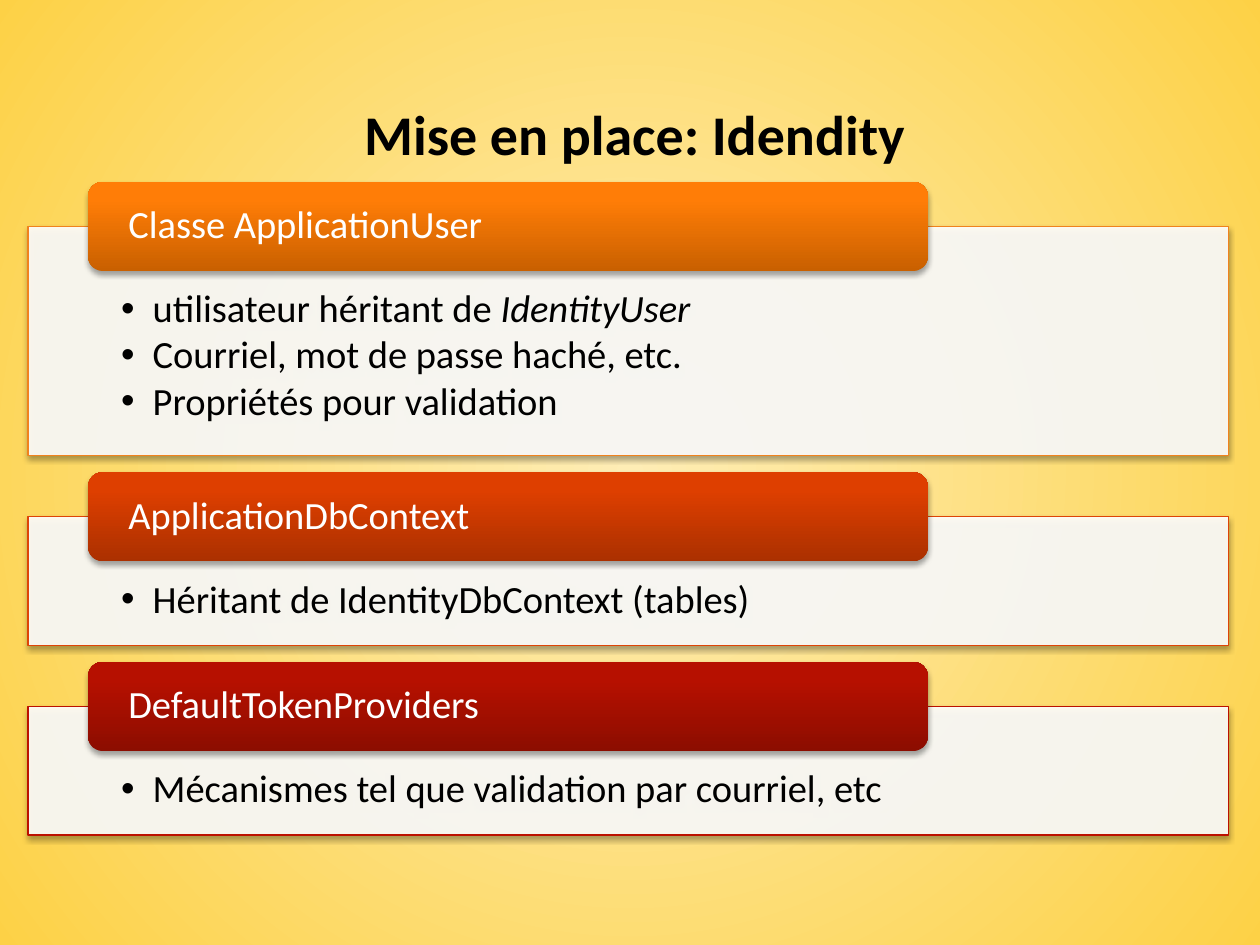
from lxml.etree import SubElement
from pptx import Presentation
from pptx.dml.color import RGBColor
from pptx.enum.shapes import MSO_SHAPE
from pptx.enum.text import MSO_ANCHOR, PP_ALIGN
from pptx.oxml.ns import qn
from pptx.util import Pt

BLACK = RGBColor(0, 0, 0)
WHITE = RGBColor(255, 255, 255)
CREAM = RGBColor(0xFE, 0xED, 0xB5)
GOLD = RGBColor(0xFD, 0xD1, 0x46)
ORANGE = [RGBColor.from_string(c) for c in ("F0821E", "C96000", "FF7D07", "FF7E08")]
RUST = [RGBColor.from_string(c) for c in ("DE4407", "AB3000", "DE3F00", "DF3F00")]
RED = [RGBColor.from_string(c) for c in ("BC1100", "8C0D00", "B61000", "B71100")]
BODY = {"name": "Calibri", "size": Pt(22), "bold": False, "color": BLACK}
HEAD = {**BODY, "color": WHITE}
TITLE = {**BODY, "size": Pt(32), "bold": True}
LEFT, TOP, WIDTH, GAP, TAB = 16, 129.4, 686, 34.9, 51
CARDS = [
    (ORANGE, 131, "Classe ApplicationUser",
     [("utilisateur héritant de ", "IdentityUser"),
      ("Courriel, mot de passe haché, etc.",), ("Propriétés pour validation",)]),
    (RUST, 73.5, "ApplicationDbContext", [("Héritant de IdentityDbContext (tables)",)]),
    (RED, 73.5, "DefaultTokenProviders",
     [("Mécanismes tel que validation par courriel, etc",)]),
]


def assign(item, look):
    """Set each attribute of an item from a dict."""
    for key, value in look.items():
        if key == "color":
            item.color.rgb = value
        else:
            setattr(item, key, value)


def node(parent, tag, **attrs):
    """Append a child element with the given attributes."""
    return SubElement(parent, qn(tag), {k: str(v) for k, v in attrs.items()})


def blend(props, stops):
    """Swap the solid fill for gradient stops and return the gradient."""
    solid = props.find(qn("a:solidFill"))
    grad = node(props, "a:gradFill", rotWithShape=1)
    props.replace(solid, grad)
    group = node(grad, "a:gsLst")
    for pos, color in stops:
        node(node(group, "a:gs", pos=pos * 1000), "a:srgbClr", val=color)
    return grad


def paint(slide):
    """Fill the background with a radial gradient."""
    slide.background.fill.solid()
    props = slide.element.find(".//" + qn("p:bgPr"))
    grad = blend(props, [(0, CREAM), (100, GOLD)])
    edge = dict.fromkeys("ltrb", 50000)
    node(node(grad, "a:path", path="circle"), "a:fillToRect", **edge)


def add_box(slide, kind, area, color, frame):
    """Add a filled shape with a soft shadow and a text frame format."""
    box = slide.shapes.add_shape(kind, *map(Pt, area))
    box.fill.solid()
    box.fill.fore_color.rgb = color
    box.line.fill.background()
    box.shadow.inherit = False
    effects = box.element.spPr.find(qn("a:effectLst"))
    cast = node(effects, "a:outerShdw", blurRad=Pt(3.1), dist=Pt(1.8),
                dir=5400000, rotWithShape=0)
    node(node(cast, "a:srgbClr", val=BLACK), "a:alpha", val=35000)
    assign(box.text_frame, {"word_wrap": True, **frame})
    return box


def add_panel(slide, top, height, color, items):
    """Add a bordered panel with its bullet list."""
    frame = {"vertical_anchor": MSO_ANCHOR.TOP, "margin_left": Pt(53.3),
             "margin_right": Pt(53.3), "margin_top": Pt(36), "margin_bottom": Pt(12)}
    box = add_box(slide, MSO_SHAPE.RECTANGLE, (LEFT, top, WIDTH, height), WHITE, frame)
    tint = box.element.spPr.find(qn("a:solidFill"))[0]
    node(tint, "a:alpha", val=90000)
    assign(box.line, {"color": color, "width": Pt(0.75)})
    text = box.text_frame
    for i, parts in enumerate(items):
        para = text.add_paragraph() if i else text.paragraphs[0]
        assign(para, {"alignment": PP_ALIGN.LEFT, "line_spacing": 0.9,
                      "space_after": Pt(2.7)})
        props = para._p.get_or_add_pPr()
        props.set("marL", str(Pt(18)))
        props.set("indent", str(Pt(-18)))
        node(props, "a:buFont", typeface="Arial")
        node(props, "a:buChar", char="•")
        for j, words in enumerate(parts):
            run = para.add_run()
            run.text = words
            assign(run.font, {**BODY, "italic": j > 0})


def add_tab(slide, top, colors, words):
    """Add a rounded heading with a vertical gradient."""
    frame = {"vertical_anchor": MSO_ANCHOR.MIDDLE, "margin_left": Pt(20.6),
             "margin_right": Pt(20.6), "margin_top": 0, "margin_bottom": 0}
    box = add_box(slide, MSO_SHAPE.ROUNDED_RECTANGLE, (50.3, top, 480, TAB),
                  colors[0], frame)
    grad = blend(box.element.spPr, zip((0, 80, 100), colors))
    node(grad, "a:lin", ang=16200000, scaled=0)
    para = box.text_frame.paragraphs[0]
    para.text = words
    assign(para, {"alignment": PP_ALIGN.LEFT, "line_spacing": 0.9})
    assign(para.runs[0].font, HEAD)


def add_title(slide, words):
    """Place and format the title."""
    title = slide.shapes.title
    assign(title, {"left": Pt(5.8), "top": Pt(18), "width": Pt(714), "height": Pt(116)})
    title.text_frame.text = words
    title.text_frame.vertical_anchor = MSO_ANCHOR.MIDDLE
    para = title.text_frame.paragraphs[0]
    para.alignment = PP_ALIGN.CENTER
    assign(para.runs[0].font, TITLE)


def main():
    """Build the slide and save it."""
    deck = Presentation()
    assign(deck, {"slide_width": Pt(720), "slide_height": Pt(540)})
    slide = deck.slides.add_slide(deck.slide_layouts[5])
    paint(slide)
    add_title(slide, "Mise en place: Idendity")
    top = TOP
    for (edge, *fade), height, head, items in CARDS:
        add_panel(slide, top, height, edge, items)
        add_tab(slide, top - TAB / 2, fade, head)
        top += height + GAP
    deck.save("out.pptx")


if __name__ == "__main__":
    main()
